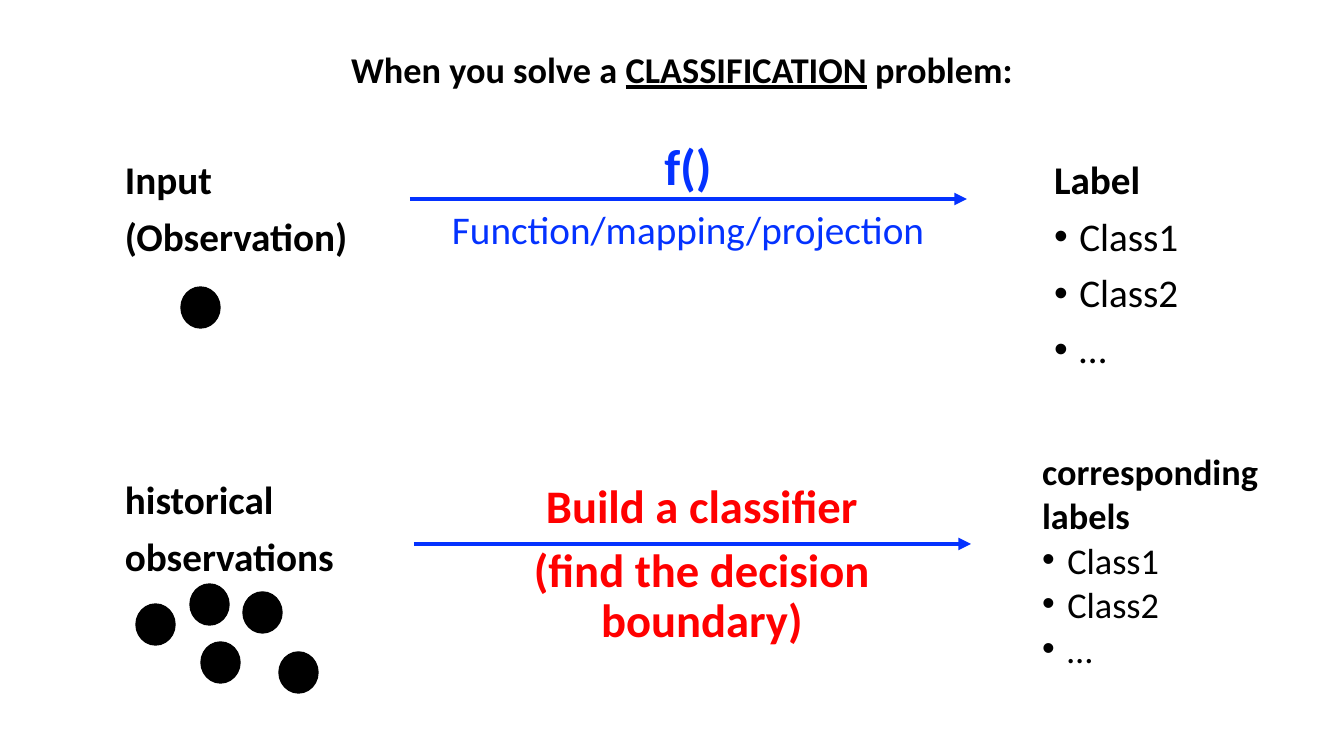
from dataclasses import dataclass

import pptx
import pptx.dml.color
import pptx.enum.shapes
import pptx.enum.text
import pptx.oxml.ns
import pptx.util
from lxml import etree

SLIDE_SIZE = (1344, 756)
EMU_PER_PX = 914400 / 100.8


@dataclass(frozen=True)
class Theme:
    font: str = "Calibri"
    black: str = "000000"
    blue: str = "0432FF"
    red: str = "FF0000"
    title: float = 25.9
    body: float = 28
    compact: float = 25.9
    function: float = 36
    classifier: float = 33.3


THEME = Theme()
ALIGN = pptx.enum.text.PP_ALIGN

# Boxes are left, top, width, height in px.
TITLE_BOX = (341, 47, 705, 77)
TITLE_RUNS = [("When you solve a ", False), ("CLASSIFICATION", True), (" problem:", False)]

CLASSES = ["Class1", "Class2", "…"]
# box, heading lines, type size, line spacing
LABEL_LISTS = [
    ((1044, 156, 263, 242), ["Label"], THEME.body, 0.9),
    ((1032, 456, 257, 234), ["corresponding", "labels"], THEME.compact, 0.7),
]

# box, colour, alignment, lines of (text, type size, bold)
CAPTIONS = [
    ((115, 156, 257, 186), THEME.black, ALIGN.LEFT,
     [("Input", THEME.body, True), ("(Observation)", THEME.body, True)]),
    ((423, 137, 530, 167), THEME.blue, ALIGN.CENTER,
     [("f()", THEME.function, True), ("Function/mapping/projection", THEME.body, False)]),
    ((115, 476, 257, 186), THEME.black, ALIGN.LEFT,
     [("historical", THEME.body, True), ("observations", THEME.body, True)]),
    ((422, 478, 560, 167), THEME.red, ALIGN.CENTER,
     [("Build a classifier", THEME.classifier, True),
      ("(find the decision boundary)", THEME.classifier, True)]),
]

ARROW_LENGTH = 557
ARROW_STARTS = [(410, 199), (414, 544)]

OBSERVATION_SIZE = (39, 41)
OBSERVATIONS = [(181, 287), (136, 604), (190, 584), (243, 592), (201, 642), (279, 652)]


def px(*lengths):
    return [pptx.util.Emu(round(length * EMU_PER_PX)) for length in lengths]


def rgb(colour):
    return pptx.dml.color.RGBColor.from_string(colour)


def add_child(parent, tag, **attributes):
    return etree.SubElement(parent, pptx.oxml.ns.qn(tag), attributes)


def place(holder, box):
    holder.left, holder.top, holder.width, holder.height = px(*box)
    return set_frame(holder)


def set_frame(holder):
    """Wrap text from the top of the box without shrinking it."""
    frame = holder.text_frame
    frame.word_wrap = True
    frame.auto_size = pptx.enum.text.MSO_AUTO_SIZE.NONE
    frame.vertical_anchor = pptx.enum.text.MSO_ANCHOR.TOP
    return frame


def next_paragraph(frame, index):
    return frame.add_paragraph() if index else frame.paragraphs[0]


def format_paragraph(paragraph, size, bold, colour=THEME.black, align=ALIGN.LEFT, spacing=0.9):
    paragraph.alignment = align
    paragraph.line_spacing = spacing
    paragraph.space_before = pptx.util.Pt(10)
    font = paragraph.font
    font.name, font.size, font.bold = THEME.font, pptx.util.Pt(size), bold
    font.color.rgb = rgb(colour)


def set_bullet(paragraph, bulleted):
    properties = paragraph._p.get_or_add_pPr()
    indent = pptx.util.Inches(0.25) if bulleted else 0
    properties.set("marL", str(indent))
    properties.set("indent", str(-indent))
    if bulleted:
        add_child(properties, "a:buFont", typeface="Arial")
        add_child(properties, "a:buChar", char="•")
    else:
        add_child(properties, "a:buNone")


def fill_title(title):
    paragraph = place(title, TITLE_BOX).paragraphs[0]
    format_paragraph(paragraph, THEME.title, True)
    for text, underlined in TITLE_RUNS:
        run = paragraph.add_run()
        run.text = text
        if underlined:
            run.font.underline = True


def fill_label_list(holder, box, heading, size, spacing):
    frame = place(holder, box)
    for index, text in enumerate(heading + CLASSES):
        is_class = index >= len(heading)
        paragraph = next_paragraph(frame, index)
        paragraph.text = text
        set_bullet(paragraph, is_class)
        format_paragraph(paragraph, size, not is_class, spacing=spacing)


def add_caption(shapes, box, colour, align, lines):
    frame = set_frame(shapes.add_textbox(*px(*box)))
    for index, (text, size, bold) in enumerate(lines):
        paragraph = next_paragraph(frame, index)
        paragraph.text = text
        format_paragraph(paragraph, size, bold, colour, align)


def add_arrow(shapes, left, top):
    arrow = shapes.add_connector(
        pptx.enum.shapes.MSO_CONNECTOR.STRAIGHT, *px(left, top, left + ARROW_LENGTH, top))
    arrow.line.color.rgb = rgb(THEME.blue)
    arrow.line.width = pptx.util.Pt(3)
    add_child(arrow.line._get_or_add_ln(), "a:tailEnd", type="triangle")
    add_child(arrow._element.spPr, "a:effectLst")


def add_observation(shapes, left, top):
    dot = shapes.add_shape(
        pptx.enum.shapes.MSO_SHAPE.OVAL, *px(left, top, *OBSERVATION_SIZE))
    dot.shadow.inherit = False
    dot.fill.solid()
    dot.fill.fore_color.rgb = rgb(THEME.black)
    dot.line.color.rgb = rgb(THEME.black)
    dot.line.width = pptx.util.Pt(1)


def main():
    deck = pptx.Presentation()
    deck.slide_width, deck.slide_height = px(*SLIDE_SIZE)
    two_content = deck.slide_layouts[3]
    slide = deck.slides.add_slide(two_content)
    title, *list_holders = slide.placeholders

    fill_title(title)
    for holder, label_list in zip(list_holders, LABEL_LISTS):
        fill_label_list(holder, *label_list)
    for start in ARROW_STARTS:
        add_arrow(slide.shapes, *start)
    for caption in CAPTIONS:
        add_caption(slide.shapes, *caption)
    for position in OBSERVATIONS:
        add_observation(slide.shapes, *position)

    deck.save("out.pptx")


if __name__ == "__main__":
    main()
